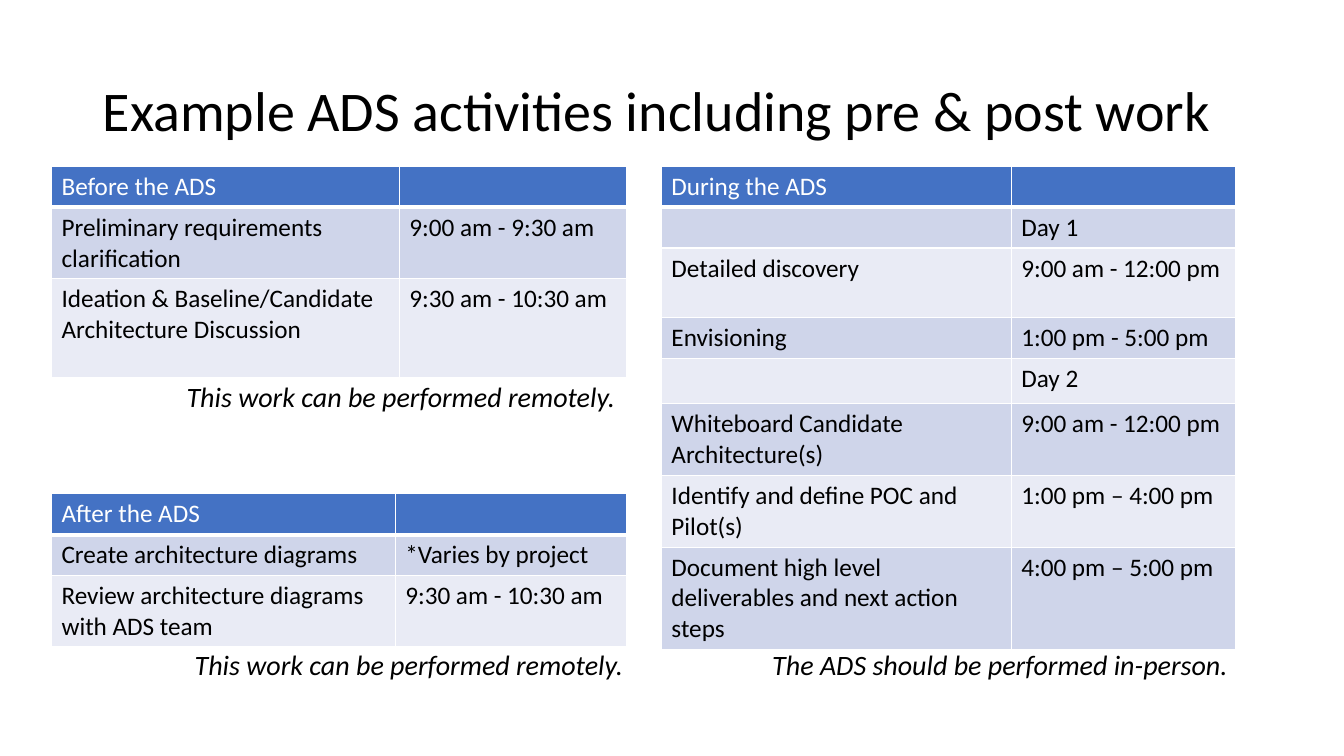
import dataclasses

import pptx
import pptx.dml.color
import pptx.enum.text
import pptx.oxml
import pptx.oxml.ns
import pptx.util


@dataclasses.dataclass(frozen=True)
class Theme:
    font: str = "Calibri"
    ink: str = "000000"
    paper: str = "FFFFFF"
    header: str = "4472C4"
    bands: tuple = ("CFD5EA", "E9EBF5")
    title_size: int = 40
    note_size: int = 20
    table_size: int = 18
    rule: int = 1
    header_rule: int = 3


def rgb(value):
    return pptx.dml.color.RGBColor.from_string(value)


def write(frame, text, *, font, size, color, italic=False, line=None, after=None):
    paragraph = frame.paragraphs[0]
    paragraph.alignment = pptx.enum.text.PP_ALIGN.LEFT
    paragraph.line_spacing = line
    if after is not None:
        paragraph.space_after = pptx.util.Pt(after)
    run = paragraph.add_run()
    run.text = text
    run.font.name = font
    run.font.size = pptx.util.Pt(size)
    run.font.bold = False
    run.font.italic = italic
    run.font.color.rgb = rgb(color)


class AgendaSlide:
    COLUMNS = 100
    ROWS = 100

    def __init__(self, presentation, theme):
        self.theme = theme
        self.width = presentation.slide_width
        self.height = presentation.slide_height
        self.slide = presentation.slides.add_slide(presentation.slide_layouts[5])

    def across(self, columns):
        return round(self.width * columns / self.COLUMNS)

    def down(self, rows):
        return round(self.height * rows / self.ROWS)

    def box(self, left, top, width, height):
        return self.across(left), self.down(top), self.across(width), self.down(height)

    def title(self, text, *place):
        heading = self.slide.shapes.title
        heading.left, heading.top, heading.width, heading.height = self.box(*place)
        heading.text_frame.auto_size = pptx.enum.text.MSO_AUTO_SIZE.NONE
        heading.text_frame.vertical_anchor = pptx.enum.text.MSO_ANCHOR.MIDDLE
        write(heading.text_frame, text, font=self.theme.font,
              size=self.theme.title_size, color=self.theme.ink, line=0.9)

    def note(self, text, *place):
        frame = self.slide.shapes.add_textbox(*self.box(*place)).text_frame
        frame.word_wrap = False
        frame.auto_size = pptx.enum.text.MSO_AUTO_SIZE.SHAPE_TO_FIT_TEXT
        frame.margin_left = frame.margin_right = pptx.util.Inches(0.2)
        frame.margin_top = frame.margin_bottom = pptx.util.Inches(0.16)
        write(frame, text, font=self.theme.font, size=self.theme.note_size,
              color=self.theme.ink, italic=True, line=0.9, after=6)

    def borders(self, cell, bottom):
        properties = cell._tc.get_or_add_tcPr()
        rule = self.theme.rule
        for side, points in zip("LRTB", (rule, rule, rule, bottom)):
            properties.append(pptx.oxml.parse_xml(
                f'<a:ln{side} {pptx.oxml.ns.nsdecls("a")} w="{pptx.util.Pt(points)}">'
                f'<a:solidFill><a:srgbClr val="{self.theme.paper}"/></a:solidFill>'
                f'</a:ln{side}>'))

    def schedule(self, left, top, widths, entries):
        heights = [height for height, *_ in entries]
        place = self.box(left, top, sum(widths), sum(heights))
        table = self.slide.shapes.add_table(len(entries), len(widths), *place).table
        for column, width in zip(table.columns, widths):
            column.width = self.across(width)
        for index, (height, *texts) in enumerate(entries):
            table.rows[index].height = self.down(height)
            is_header = index == 0
            fill = self.theme.header if is_header else self.theme.bands[(index - 1) % 2]
            color = self.theme.paper if is_header else self.theme.ink
            for position, text in enumerate(texts):
                cell = table.cell(index, position)
                self.borders(cell, self.theme.header_rule if is_header else self.theme.rule)
                cell.fill.solid()
                cell.fill.fore_color.rgb = rgb(fill)
                if text:
                    write(cell.text_frame, text, font=self.theme.font,
                          size=self.theme.table_size, color=color)


ONE_LINE, DAY_TWO, TWO_LINES, THREE_LINES = 5.41, 6, 9.2, 13.07
LEFT, RIGHT = 3.83, 49.21
TOP, AFTER_TOP = 22, 65.33
NOTE_HEIGHT, LOWER_NOTE = 8.4, 84.13
REMOTE_WIDTH = 36.23
REMOTE = "This work can be performed remotely."

BEFORE = [
    (ONE_LINE, "Before the ADS", ""),
    (TWO_LINES, "Preliminary requirements clarification", "9:00 am - 9:30 am"),
    (THREE_LINES, "Ideation & Baseline/Candidate Architecture Discussion", "9:30 am - 10:30 am"),
]
DURING = [
    (ONE_LINE, "During the ADS", ""),
    (ONE_LINE, "", "Day 1"),
    (TWO_LINES, "Detailed discovery", "9:00 am - 12:00 pm"),
    (ONE_LINE, "Envisioning", "1:00 pm - 5:00 pm"),
    (DAY_TWO, "", "Day 2"),
    (TWO_LINES, "Whiteboard Candidate Architecture(s)", "9:00 am - 12:00 pm"),
    (TWO_LINES, "Identify and define POC and Pilot(s)", "1:00 pm – 4:00 pm"),
    (THREE_LINES, "Document high level deliverables and next action steps", "4:00 pm – 5:00 pm"),
]
AFTER = [
    (ONE_LINE, "After the ADS", ""),
    (ONE_LINE, "Create architecture diagrams", "*Varies by project"),
    (TWO_LINES, "Review architecture diagrams with ADS team", "9:30 am - 10:30 am"),
]


def main():
    presentation = pptx.Presentation()
    presentation.slide_width = pptx.util.Inches(13.33)
    presentation.slide_height = pptx.util.Inches(7.5)
    agenda = AgendaSlide(presentation, Theme())
    agenda.title("Example ADS activities including pre & post work", 6.9, 5.33, 86.27, 19.33)
    agenda.schedule(LEFT, TOP, (25.88, 16.88), BEFORE)
    agenda.schedule(RIGHT, TOP, (26.03, 16.73), DURING)
    agenda.note(REMOTE, 12.38, 48.67, REMOTE_WIDTH, NOTE_HEIGHT)
    agenda.note("The ADS should be performed in-person.", 55.96, LOWER_NOTE, 39.01, NOTE_HEIGHT)
    agenda.schedule(LEFT, AFTER_TOP, (25.58, 17.18), AFTER)
    agenda.note(REMOTE, 12.98, LOWER_NOTE, REMOTE_WIDTH, NOTE_HEIGHT)
    presentation.save("out.pptx")


if __name__ == "__main__":
    main()
